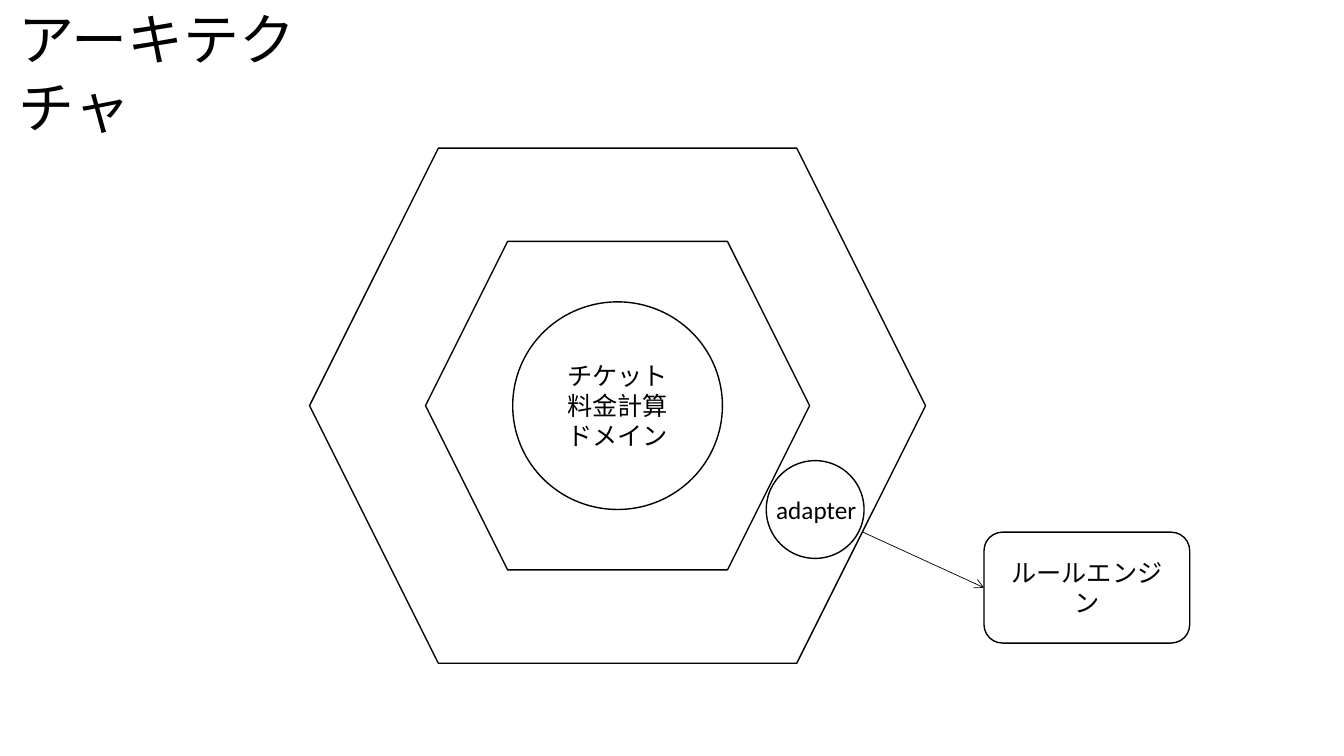
from lxml import etree
from pptx import Presentation
from pptx.dml.color import RGBColor
from pptx.enum.shapes import MSO_CONNECTOR, MSO_SHAPE as Preset
from pptx.enum.text import MSO_ANCHOR, MSO_AUTO_SIZE, PP_ALIGN
from pptx.oxml.ns import qn
from pptx.util import Inches, Pt

BLACK = "000000"
WHITE = "FFFFFF"


def color(value):
    return RGBColor.from_string(value)


def write(frame, lines, size=18, font="Calibri", align=None):
    frame.text = "\n".join(lines)
    for paragraph in frame.paragraphs:
        paragraph.alignment = align
        paragraph.font.size = Pt(size)
        paragraph.font.name = font
        paragraph.font.color.rgb = color(BLACK)


def add_label(slide, box, text, wrap=False, **style):
    frame = slide.shapes.add_textbox(*map(Inches, box)).text_frame
    write(frame, [text], **style)
    frame.word_wrap = wrap
    frame.auto_size = MSO_AUTO_SIZE.SHAPE_TO_FIT_TEXT


def add_outline(slide, preset, box, lines=()):
    outline = slide.shapes.add_shape(preset, *map(Inches, box))
    outline.shadow.inherit = False
    outline.fill.solid()
    outline.fill.fore_color.rgb = color(WHITE)
    outline.line.color.rgb = color(BLACK)
    outline.line.width = Pt(1)
    if lines:
        write(outline.text_frame, lines, align=PP_ALIGN.CENTER)
        outline.text_frame.vertical_anchor = MSO_ANCHOR.MIDDLE
    return outline


def add_arrow(slide, start, end):
    arrow = slide.shapes.add_connector(
        MSO_CONNECTOR.STRAIGHT, *map(Inches, start + end))
    arrow.line.color.rgb = color(BLACK)
    arrow.line.width = Pt(0.5)
    line = arrow.line._get_or_add_ln()
    etree.SubElement(line, qn("a:tailEnd"), type="arrow")
    etree.SubElement(arrow._element.spPr, qn("a:effectLst"))


def add_hexagons(slide, left, top, width, height):
    center_x, center_y = left + width / 2, top + height / 2

    def centered(w, h):
        return center_x - w / 2, center_y - h / 2, w, h

    add_outline(slide, Preset.HEXAGON, (left, top, width, height))
    add_outline(slide, Preset.HEXAGON, centered(3.81, 3.26))
    add_outline(slide, Preset.OVAL, centered(2.08, 2.06),
                ["チケット", "料金計算", "ドメイン"])


def add_adapter(slide, left, top, diameter):
    circle = add_outline(slide, Preset.ROUNDED_RECTANGLE,
                         (left, top, diameter, diameter))
    circle.adjustments[0] = 0.5
    add_label(slide, (left, top + 0.28, 1, 0.4), "adapter")


def add_rule_engine(slide, left, top, width, height):
    add_outline(slide, Preset.ROUNDED_RECTANGLE, (left, top, width, height),
                ["ルールエンジン"])
    add_arrow(slide, (left - 1.2, top), (left, top + height / 2))


def build_architecture(slide):
    add_label(slide, (0.09, 0, 3.17, 0.77), "アーキテクチャ", wrap=True,
              size=40, font="Noto Sans CJK JP")
    add_hexagons(slide, 3.07, 1.47, 6.11, 5.11)
    add_adapter(slide, 7.6, 4.57, 0.97)
    add_rule_engine(slide, 9.76, 5.28, 2.04, 1.1)


presentation = Presentation()
presentation.slide_width = Inches(13.33)
presentation.slide_height = Inches(7.5)
build_architecture(presentation.slides.add_slide(presentation.slide_layouts[6]))
presentation.save("out.pptx")
